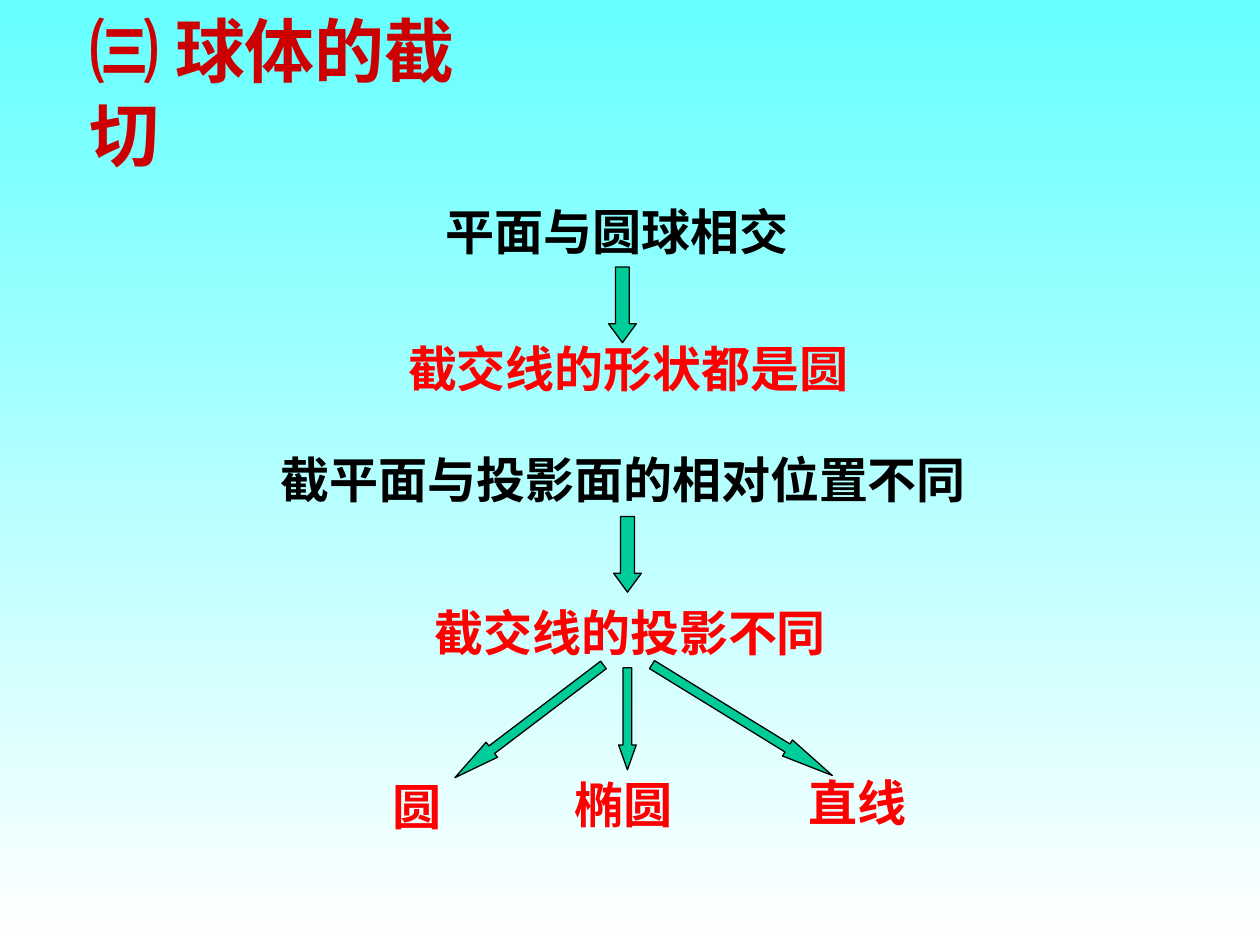
from dataclasses import dataclass
from lxml import etree
from pptx import Presentation
from pptx.dml.color import RGBColor
from pptx.enum.shapes import MSO_SHAPE
from pptx.enum.text import MSO_ANCHOR, MSO_AUTO_SIZE
from pptx.oxml.ns import qn
from pptx.shapes.shapetree import GroupShapes, SlideShapes
from pptx.util import Inches, Pt

DOWN, LEFT, RIGHT = MSO_SHAPE.DOWN_ARROW, MSO_SHAPE.LEFT_ARROW, MSO_SHAPE.RIGHT_ARROW
MIDDLE, TOP = MSO_ANCHOR.MIDDLE, MSO_ANCHOR.TOP
GROW = MSO_AUTO_SIZE.SHAPE_TO_FIT_TEXT

# The slide is a grid of 100 columns by 75 rows
COLS, ROWS = 100, 75
CELL = Inches(10) / COLS
FONT = "Noto Sans CJK SC"
LINE = 5.7  # rows taken by one line of body text
COLORS = {
    "sky": "66FFFF", "white": "FFFFFF", "title": "CC0000",
    "cause": "000000", "result": "FF0000", "arrow": "00CC99", "edge": "000000",
}


@dataclass
class Label:
    text: str
    col: float
    row: float
    cols: float
    color: str = "result"
    rows: float = LINE
    size: int = 28
    wrap: bool = True


@dataclass
class Arrow:
    kind: MSO_SHAPE
    col: float
    row: float
    cols: float
    rows: float
    head: float
    turn: float = 0


@dataclass
class Step:
    label: Label
    arrow: Arrow


def rgb(name: str) -> RGBColor:
    return RGBColor.from_string(COLORS[name])


def place(item: Label | Arrow) -> list[int]:
    return [round(n * CELL) for n in (item.col, item.row, item.cols, item.rows)]


def draw_label(shapes: SlideShapes | GroupShapes, label: Label) -> None:
    frame = shapes.add_textbox(*place(label)).text_frame
    frame.word_wrap = label.wrap
    frame.auto_size = GROW
    frame.vertical_anchor = TOP if label.wrap else MIDDLE
    para = frame.paragraphs[0]
    para.text = label.text
    font = para.font
    font.name, font.size, font.bold = FONT, Pt(label.size), True
    font.color.rgb = rgb(label.color)
    # East Asian typeface, for the Chinese characters
    props = para._p.pPr.find(qn("a:defRPr"))
    etree.SubElement(props, qn("a:ea")).set("typeface", FONT)


def draw_arrow(shapes: SlideShapes | GroupShapes, arrow: Arrow) -> None:
    shape = shapes.add_shape(arrow.kind, *place(arrow))
    shape.adjustments[0] = 0.5
    shape.adjustments[1] = arrow.head
    shape.rotation = arrow.turn
    shape.shadow.inherit = False
    shape.fill.solid()
    shape.fill.fore_color.rgb = rgb("arrow")
    shape.line.color.rgb = rgb("edge")
    shape.line.width = Pt(0.75)


HEADS = [
    Label("㈢ 球体的截切", 6.1, 3.4, 36.5, "title", 7.7, 40, False),
    Label("平面与圆球相交", 34.4, 15.5, 32.8, "cause"),
    Label("截平面与投影面的相对位置不同", 21.3, 35.2, 63.5, "cause"),
]
STEPS = [
    Step(Label("截交线的形状都是圆", 31.4, 26.4, 43.6),
         Arrow(DOWN, 48.3, 21.2, 2.2, 6, 0.68)),
    Step(Label("截交线的投影不同", 33.5, 47.3, 41.9),
         Arrow(DOWN, 48.7, 41, 2.2, 6, 0.68)),
    Step(Label("圆", 30.2, 61.1, 12.7),
         Arrow(LEFT, 34.6, 56.5, 14.8, 1.5, 2.45, 322.8)),
    Step(Label("椭圆", 44.6, 61, 13.7),
         Arrow(DOWN, 49.1, 53, 1.4, 8.1, 1.41)),
    Step(Label("直线", 63.2, 60.8, 11.1),
         Arrow(RIGHT, 50.5, 56.4, 16.8, 1.5, 2.78, 31.6)),
]


def main() -> None:
    deck = Presentation()
    deck.slide_width, deck.slide_height = round(COLS * CELL), round(ROWS * CELL)
    slide = deck.slides.add_slide(deck.slide_layouts[6])

    # Background fading from top to bottom
    fill = slide.background.fill
    fill.gradient()
    fill.gradient_angle = 270
    for stop, name in zip(fill.gradient_stops, ("sky", "white")):
        stop.color.rgb = rgb(name)

    # Title and causes
    for head in HEADS:
        draw_label(slide.shapes, head)

    # Each result is grouped with the arrow that leads to it
    for step in STEPS:
        group = slide.shapes.add_group_shape()
        draw_label(group.shapes, step.label)
        draw_arrow(group.shapes, step.arrow)

    deck.save("out.pptx")


if __name__ == "__main__":
    main()
